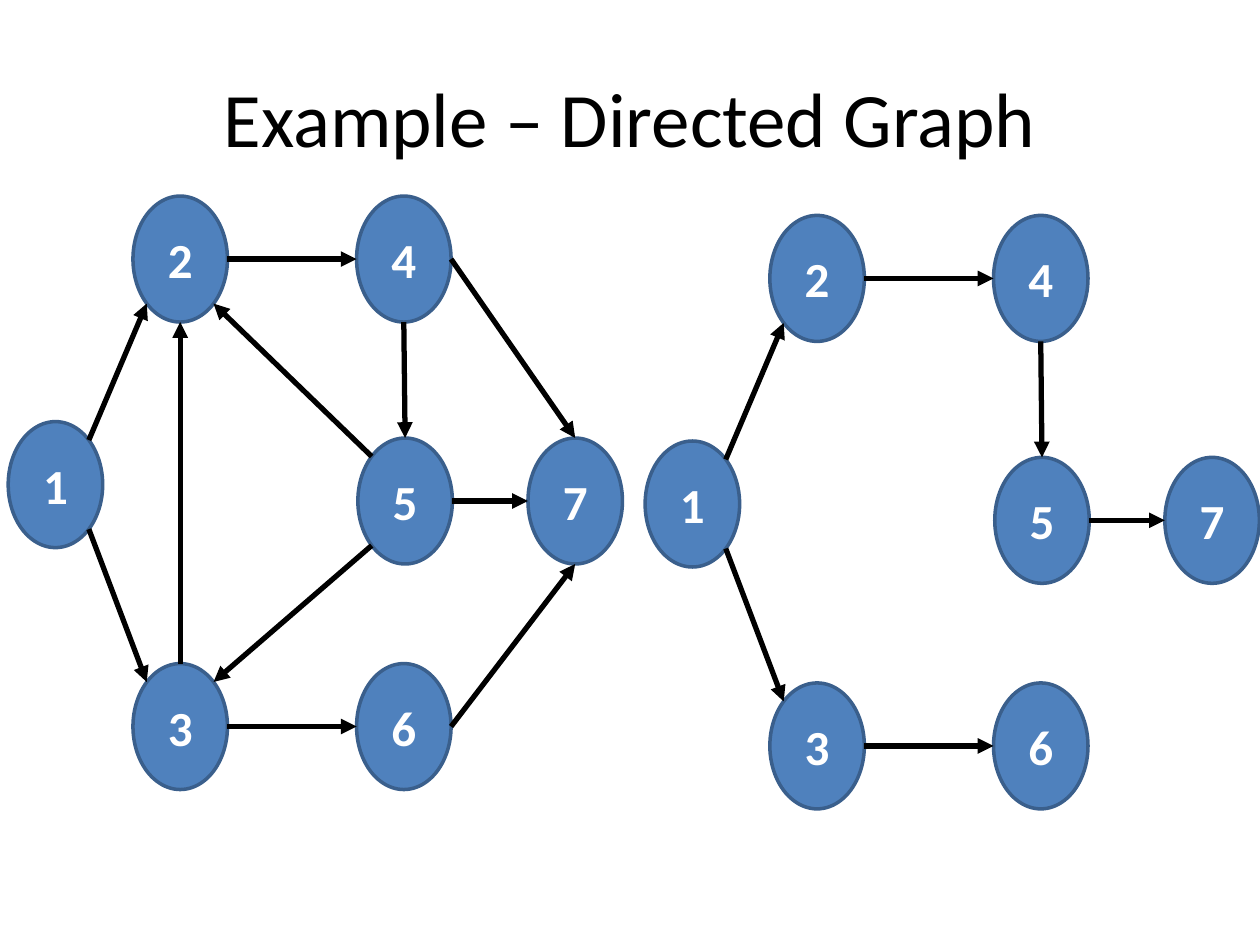
from dataclasses import dataclass
from enum import IntEnum
from math import cos, pi, sin

from lxml.etree import SubElement
from pptx import Presentation
from pptx.dml.color import RGBColor
from pptx.enum.shapes import MSO_CONNECTOR, MSO_SHAPE
from pptx.enum.text import MSO_ANCHOR, PP_ALIGN
from pptx.oxml.ns import qn
from pptx.shapes.autoshape import Shape
from pptx.shapes.group import GroupShape
from pptx.slide import Slide
from pptx.text.text import TextFrame
from pptx.util import Inches, Pt

BLACK = RGBColor(0x00, 0x00, 0x00)
WHITE = RGBColor(0xFF, 0xFF, 0xFF)
NODE_BLUE = RGBColor(0x4F, 0x81, 0xBD)
OUTLINE_BLUE = RGBColor(0x3A, 0x5F, 0x8C)
FONT = "Calibri"

SLIDE_WIDTH, SLIDE_HEIGHT = Inches(10), Inches(7.5)
COLUMN, ROW = SLIDE_WIDTH / 100, SLIDE_HEIGHT / 100
NODE_COLUMNS, NODE_ROWS = 7.5, 13.33


class Site(IntEnum):
    TOP = 0
    TOP_LEFT = 1
    LEFT = 2
    BOTTOM_LEFT = 3
    BOTTOM = 4
    BOTTOM_RIGHT = 5
    RIGHT = 6
    TOP_RIGHT = 7


@dataclass(frozen=True)
class Node:
    label: str
    column: float
    row: float


@dataclass(frozen=True)
class Edge:
    source: str
    leaves: Site
    target: str
    enters: Site


@dataclass(frozen=True)
class Graph:
    column: float
    row: float
    edges: tuple[Edge, ...]


NODES = (
    Node("1", 0, 23.87),
    Node("2", 9.9, 0),
    Node("3", 9.9, 49.47),
    Node("4", 27.65, 0),
    Node("5", 27.75, 25.6),
    Node("6", 27.65, 49.47),
    Node("7", 41.25, 25.6),
)

TREE_EDGES = (
    Edge("1", Site.TOP_RIGHT, "2", Site.BOTTOM_LEFT),
    Edge("1", Site.BOTTOM_RIGHT, "3", Site.TOP_LEFT),
    Edge("2", Site.RIGHT, "4", Site.LEFT),
    Edge("3", Site.RIGHT, "6", Site.LEFT),
    Edge("4", Site.BOTTOM, "5", Site.TOP),
    Edge("5", Site.RIGHT, "7", Site.LEFT),
)

OTHER_EDGES = (
    Edge("3", Site.TOP, "2", Site.BOTTOM),
    Edge("5", Site.TOP_LEFT, "2", Site.BOTTOM_RIGHT),
    Edge("5", Site.BOTTOM_LEFT, "3", Site.TOP_RIGHT),
    Edge("4", Site.RIGHT, "7", Site.TOP),
    Edge("6", Site.RIGHT, "7", Site.BOTTOM),
)

GRAPHS = (
    Graph(0.65, 20.75, TREE_EDGES + OTHER_EDGES),
    Graph(51.2, 22.8, TREE_EDGES),
)


def write(frame: TextFrame, text: str, *, size: float, color: RGBColor,
          bold: bool = False) -> None:
    frame.word_wrap = True
    frame.vertical_anchor = MSO_ANCHOR.MIDDLE
    paragraph = frame.paragraphs[0]
    paragraph.alignment = PP_ALIGN.CENTER
    run = paragraph.add_run()
    run.text = text
    run.font.name = FONT
    run.font.size = Pt(size)
    run.font.bold = bold
    run.font.color.rgb = color


def draw_title(slide: Slide, text: str) -> None:
    title = slide.shapes.add_textbox(
        round(5 * COLUMN), round(4 * ROW), round(90 * COLUMN), round(16.67 * ROW))
    write(title.text_frame, text, size=44, color=BLACK)


def draw_node(group: GroupShape, graph: Graph, node: Node) -> Shape:
    ellipse = group.shapes.add_shape(
        MSO_SHAPE.OVAL,
        round((graph.column + node.column) * COLUMN),
        round((graph.row + node.row) * ROW),
        round(NODE_COLUMNS * COLUMN),
        round(NODE_ROWS * ROW))
    ellipse.shadow.inherit = False
    ellipse.fill.solid()
    ellipse.fill.fore_color.rgb = NODE_BLUE
    ellipse.line.color.rgb = OUTLINE_BLUE
    ellipse.line.width = Pt(2)
    write(ellipse.text_frame, node.label, size=28, color=WHITE, bold=True)
    return ellipse


def site_point(ellipse: Shape, site: Site) -> tuple[int, int]:
    angle = site * pi / 4
    return (round(ellipse.left + ellipse.width * (1 - sin(angle)) / 2),
            round(ellipse.top + ellipse.height * (1 - cos(angle)) / 2))


def draw_edge(group: GroupShape, ellipses: dict[str, Shape], edge: Edge) -> None:
    source, target = ellipses[edge.source], ellipses[edge.target]
    arrow = group.shapes.add_connector(
        MSO_CONNECTOR.STRAIGHT,
        *site_point(source, edge.leaves),
        *site_point(target, edge.enters))
    arrow.line.color.rgb = BLACK
    arrow.line.width = Pt(3)
    properties = arrow._element.spPr
    SubElement(properties.find(qn("a:ln")), qn("a:tailEnd"), type="triangle")
    SubElement(properties, qn("a:effectLst"))
    links = arrow._element.find(".//" + qn("p:cNvCxnSpPr"))
    for tag, ellipse, site in (("a:stCxn", source, edge.leaves),
                               ("a:endCxn", target, edge.enters)):
        SubElement(links, qn(tag), id=str(ellipse.shape_id), idx=str(int(site)))


def draw_graph(slide: Slide, graph: Graph) -> None:
    group = slide.shapes.add_group_shape()
    ellipses = {node.label: draw_node(group, graph, node) for node in NODES}
    for edge in graph.edges:
        draw_edge(group, ellipses, edge)


def main() -> None:
    presentation = Presentation()
    presentation.slide_width = SLIDE_WIDTH
    presentation.slide_height = SLIDE_HEIGHT
    slide = presentation.slides.add_slide(presentation.slide_layouts[6])
    draw_title(slide, "Example – Directed Graph")
    for graph in GRAPHS:
        draw_graph(slide, graph)
    presentation.save("out.pptx")


if __name__ == "__main__":
    main()
